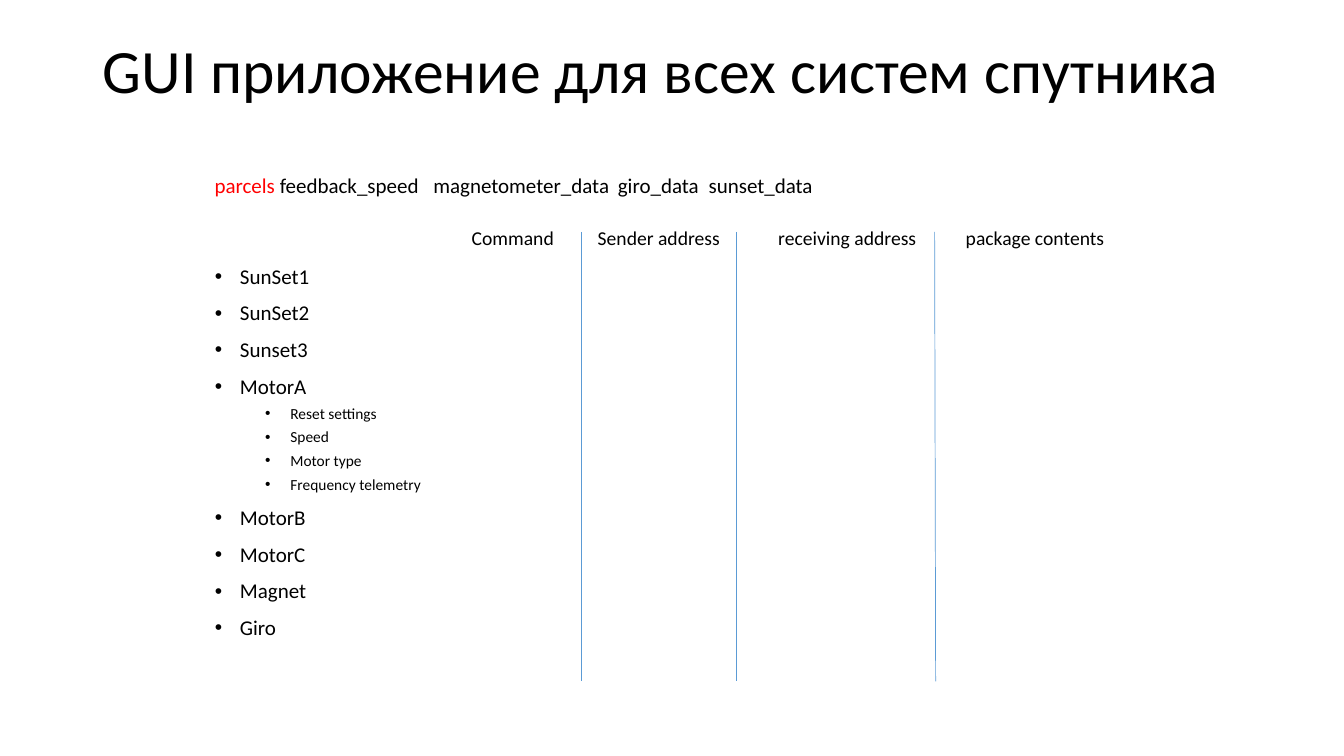
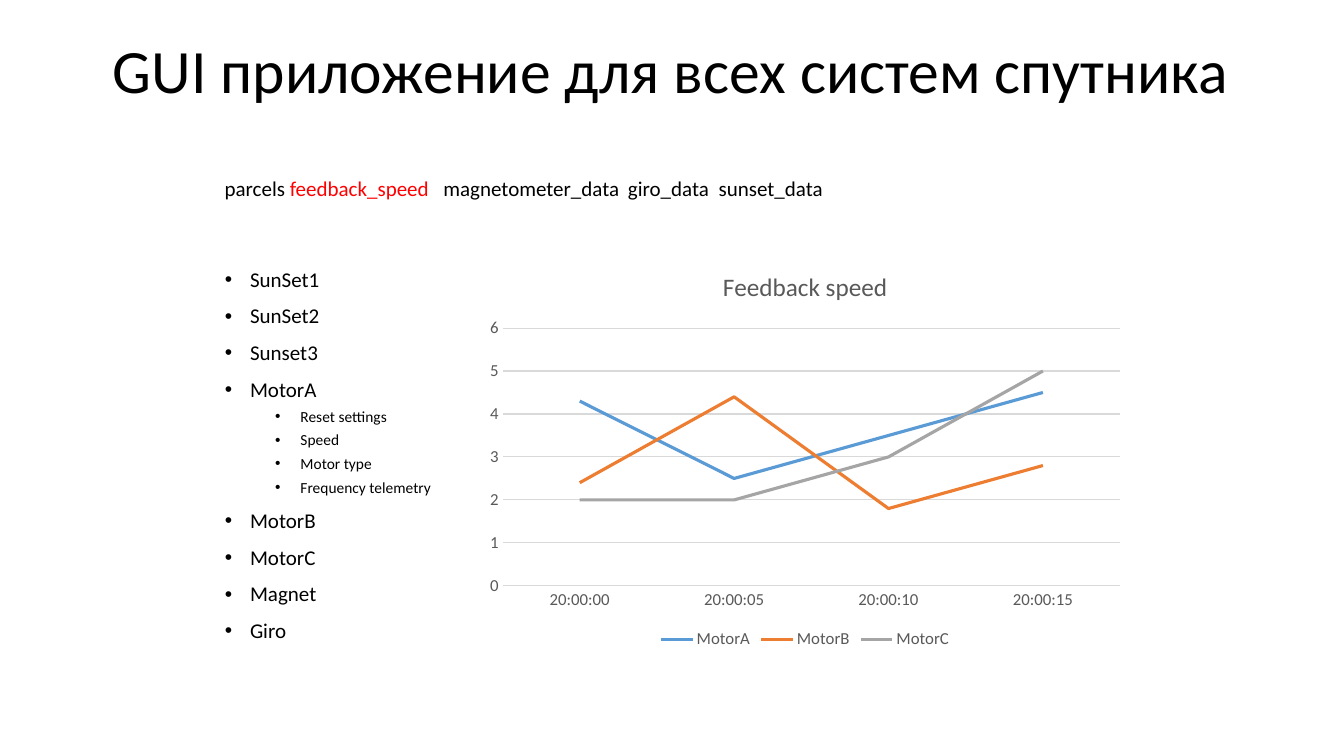
from dataclasses import dataclass

import pptx
import pptx.chart.data
import pptx.dml.color
import pptx.enum.chart
import pptx.enum.shapes
import pptx.enum.text
import pptx.oxml
import pptx.oxml.ns
import pptx.util
from pptx.util import Inches

FONT = "Calibri"
COLORS = {
    "text": "000000",
    "active": "FF0000",
    "divider": "5B9BD5",
    "label": "595959",
    "grid": "D9D9D9",
    "MotorA": "5B9BD5",
    "MotorB": "ED7D31",
    "MotorC": "A5A5A5",
}
TITLE = "GUI приложение для всех систем спутника"


@dataclass(frozen=True)
class Tab:
    name: str
    separator: str


@dataclass(frozen=True)
class Device:
    name: str
    settings: tuple[str, ...] = ()


@dataclass(frozen=True)
class Divider:
    top_x: float
    bottom_x: float


@dataclass(frozen=True)
class Series:
    name: str
    values: tuple[float, ...]


TABS = (
    Tab("parcels", " "),
    Tab("feedback_speed", "\t"),
    Tab("magnetometer_data", "\t"),
    Tab("giro_data", "\t"),
    Tab("sunset_data", ""),
)
TAB_STOPS = (2.17, 4.0, 4.9)
DEVICES = (
    Device("SunSet1"),
    Device("SunSet2"),
    Device("Sunset3"),
    Device("MotorA", ("Reset settings", "Speed", "Motor type", "Frequency telemetry")),
    Device("MotorB"),
    Device("MotorC"),
    Device("Magnet"),
    Device("Giro"),
)
COLUMNS = ("Command", "Sender address", "receiving address", "package contents")
COLUMN_STOPS = (1.25, 3.04, 4.9)
DIVIDERS = (Divider(5.77, 5.77), Divider(7.3, 7.3), Divider(9.27, 9.28))
TIMES = ("20:00:00", "20:00:05", "20:00:10", "20:00:15")
SPEEDS = (
    Series("MotorA", (4.3, 2.5, 3.5, 4.5)),
    Series("MotorB", (2.4, 4.4, 1.8, 2.8)),
    Series("MotorC", (2, 2, 3, 5)),
)


def rgb(color: str) -> pptx.dml.color.RGBColor:
    return pptx.dml.color.RGBColor.from_string(COLORS[color])


def style_font(font, size: float, color: str = "text") -> None:
    font.name = FONT
    font.size = pptx.util.Pt(size)
    font.bold = False
    font.color.rgb = rgb(color)


def place(box, left: float, top: float, width: float, height: float) -> None:
    box.left, box.top = Inches(left), Inches(top)
    box.width, box.height = Inches(width), Inches(height)


def style_paragraph(para, size: float, space_before: float) -> None:
    para.alignment = pptx.enum.text.PP_ALIGN.LEFT
    para.line_spacing = 0.9
    para.space_before = pptx.util.Pt(space_before)
    for span in para.runs:
        style_font(span.font, size)


def add_child(parent, tag: str, **attributes: str):
    child = parent.makeelement(pptx.oxml.ns.qn(tag), attributes)
    parent.append(child)
    return child


def set_tab_stops(para, stops: tuple[float, ...]) -> None:
    tab_list = add_child(para._p.get_or_add_pPr(), "a:tabLst")
    for stop in stops:
        add_child(tab_list, "a:tab", pos=str(Inches(stop)), algn="l")


def add_text_box(page, left: float, top: float, width: float, height: float):
    """Add a wrapping text box and return its first paragraph."""
    box = page.shapes.add_textbox(Inches(left), Inches(top), Inches(width), Inches(height))
    box.text_frame.word_wrap = True
    return box.text_frame.paragraphs[0]


def add_title(page, left: float) -> None:
    title = page.shapes.title
    place(title, left, 0, 11.5, 1.45)
    frame = title.text_frame
    frame.text = TITLE
    frame.auto_size = pptx.enum.text.MSO_AUTO_SIZE.NONE
    frame.vertical_anchor = pptx.enum.text.MSO_ANCHOR.MIDDLE
    style_paragraph(frame.paragraphs[0], 44, 0)


def add_tabs(page, left: float, top: float, active: str) -> None:
    para = add_text_box(page, left, top, 9.1, 0.39)
    for tab in TABS:
        para.add_run().text = tab.name + tab.separator
    style_paragraph(para, 15, 10)
    for tab, span in zip(TABS, para.runs):
        if tab.name == active:
            span.font.color.rgb = rgb("active")
    set_tab_stops(para, TAB_STOPS)


def add_bullet(para, text: str, level: int) -> None:
    para.text = text
    para.level = level
    style_paragraph(para, (15, 11)[level], (10, 5)[level])
    properties = para._p.get_or_add_pPr()
    properties.set("marL", str(Inches((0.25, 0.75)[level])))
    properties.set("indent", str(Inches(-0.25)))
    add_child(properties, "a:buFont", typeface="Arial")
    add_child(properties, "a:buChar", char="•")


def add_devices(page, left: float, top: float) -> None:
    body = page.placeholders[1]
    place(body, left, top, 2.42, 4.39)
    frame = body.text_frame
    frame.auto_size = pptx.enum.text.MSO_AUTO_SIZE.NONE
    frame.vertical_anchor = pptx.enum.text.MSO_ANCHOR.TOP
    bullets = [
        bullet
        for device in DEVICES
        for bullet in [(device.name, 0), *((setting, 1) for setting in device.settings)]
    ]
    for index, (text, level) in enumerate(bullets):
        para = frame.add_paragraph() if index else frame.paragraphs[0]
        add_bullet(para, text, level)


def add_page(deck, shift_x: float, shift_y: float, active: str):
    """Add a page with the shared title, tabs and device list."""
    page = deck.slides.add_slide(deck.slide_layouts[1])
    add_title(page, 0.92 + shift_x)
    add_devices(page, 2.03 + shift_x, 2.59 + shift_y)
    add_tabs(page, 2.03 + shift_x, 1.69 + shift_y, active)
    return page


def add_column_headers(page) -> None:
    para = add_text_box(page, 4.58, 2.22, 6.56, 0.39)
    para.text = "\t".join(COLUMNS)
    style_paragraph(para, 14, 10)
    set_tab_stops(para, COLUMN_STOPS)


def add_divider(page, divider: Divider) -> None:
    line = page.shapes.add_connector(
        pptx.enum.shapes.MSO_CONNECTOR.STRAIGHT,
        Inches(divider.top_x), Inches(2.3), Inches(divider.bottom_x), Inches(6.76),
    )
    line.line.color.rgb = rgb("divider")
    line.line.width = pptx.util.Pt(0.5)
    add_child(line._element.spPr, "a:effectLst")


def add_speed_chart(page) -> None:
    data = pptx.chart.data.CategoryChartData()
    data.categories = TIMES
    for series in SPEEDS:
        data.add_series(series.name, series.values)
    chart = page.shapes.add_chart(
        pptx.enum.chart.XL_CHART_TYPE.LINE,
        Inches(4.73), Inches(2.49), Inches(6.51), Inches(3.99), data,
    ).chart
    style_font(chart.font, 12, "label")

    chart.has_title = True
    title = chart.chart_title
    title.include_in_layout = False
    title.text_frame.text = "Feedback speed"
    style_font(title.text_frame.paragraphs[0].runs[0].font, 18, "label")

    chart.has_legend = True
    chart.legend.position = pptx.enum.chart.XL_LEGEND_POSITION.BOTTOM
    chart.legend.include_in_layout = False
    style_font(chart.legend.font, 12, "label")

    for axis in (chart.category_axis, chart.value_axis):
        axis.major_tick_mark = pptx.enum.chart.XL_TICK_MARK.NONE
        axis.minor_tick_mark = pptx.enum.chart.XL_TICK_MARK.NONE
        style_font(axis.tick_labels.font, 12, "label")
    chart.value_axis.minimum_scale = 0
    chart.value_axis.maximum_scale = 6
    chart.value_axis.major_unit = 1
    chart.value_axis.format.line.fill.background()
    chart.value_axis.has_major_gridlines = True
    for rule in (chart.category_axis.format.line, chart.value_axis.major_gridlines.format.line):
        rule.color.rgb = rgb("grid")
        rule.width = pptx.util.Pt(0.75)

    plot = chart.plots[0]
    plot.vary_by_categories = False
    for series in plot.series:
        series.smooth = False
        series.format.line.color.rgb = rgb(series.name)
        series.format.line.width = pptx.util.Pt(2.25)


def main() -> None:
    deck = pptx.Presentation()
    deck.slide_width, deck.slide_height = Inches(13.33), Inches(7.5)

    parcels_page = add_page(deck, 0, 0, "parcels")
    add_column_headers(parcels_page)
    for divider in DIVIDERS:
        add_divider(parcels_page, divider)

    speed_page = add_page(deck, 0.1, 0.03, "feedback_speed")
    add_speed_chart(speed_page)

    deck.save("out.pptx")


if __name__ == "__main__":
    main()
